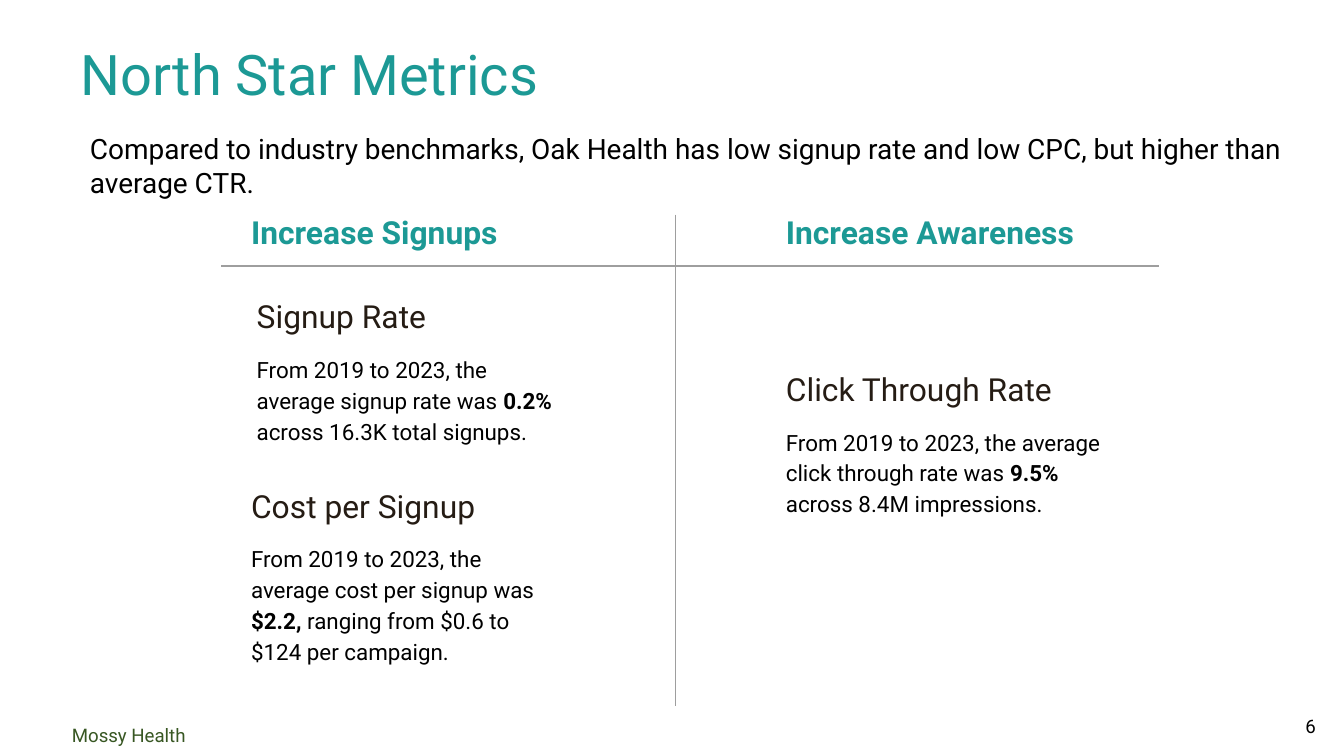
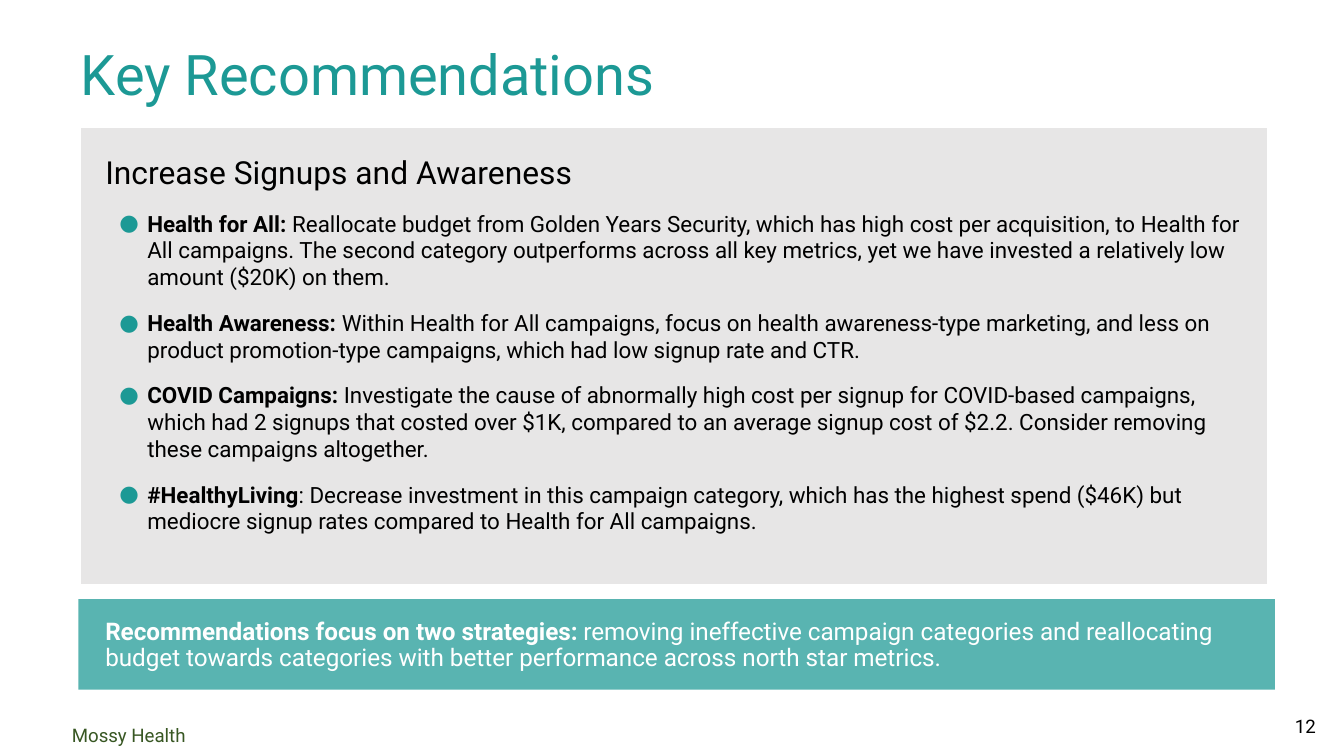
import pptx
import pptx.util
import pptx.dml.color
import pptx.enum.shapes
import pptx.enum.text
import pptx.oxml.ns
from lxml import etree

Pt = pptx.util.Pt
RGB = pptx.dml.color.RGBColor
Align = pptx.enum.text.PP_ALIGN
Anchor = pptx.enum.text.MSO_ANCHOR
qn = pptx.oxml.ns.qn

FONT = "Roboto"
TEAL = RGB(0x1C, 0x99, 0x95)
BLACK = RGB(0, 0, 0)
BROWN = RGB(0x25, 0x1C, 0x14)
GREEN = RGB(0x38, 0x57, 0x23)
GRAY = RGB(0x9E, 0x9E, 0x9E)
PALE = RGB(0xE7, 0xE6, 0xE6)
WHITE = RGB(0xFF, 0xFF, 0xFF)

BRAND = "Mossy Health"
PAD = (7.2, 7.2, 7.2, 7.2)
BARE = (0, 0, 0, 0)

ADVICE = [
    "**Health for All:** Reallocate budget from Golden Years Security, which has high "
    "cost per acquisition, to Health for All campaigns. The second category outperforms "
    "across all key metrics, yet we have invested a relatively low amount ($20K) on them.",
    "**Health Awareness: **Within Health for All campaigns, focus on health "
    "awareness-type marketing, and less on product promotion-type campaigns, which had "
    "low signup rate and CTR.",
    "**COVID Campaigns:** Investigate the cause of abnormally high cost per signup for "
    "COVID-based campaigns, which had 2 signups that costed over $1K, compared to an "
    "average signup cost of $2.2. Consider removing these campaigns altogether.",
    "**#HealthyLiving**: Decrease investment in this campaign category, which has the "
    "highest spend ($46K) but mediocre signup rates compared to Health for All campaigns.",
]


# Text helpers
def assign(item, values):
    for name, value in values.items():
        setattr(item, name, value)


def write(par, text, size, color, **form):
    """Fill a paragraph; text between ** marks is bold."""
    base = {"alignment": Align.LEFT, "line_spacing": 1.0,
            "space_before": Pt(0), "space_after": Pt(0)}
    assign(par, {**base, **form})
    for i, part in enumerate(text.split("**")):
        if part:
            run = par.add_run()
            run.text = part
            assign(run.font, {"name": FONT, "size": Pt(size), "bold": i % 2 == 1})
            run.font.color.rgb = color


def bullet(par, left=0, hang=0, sign=None):
    props = par._p.get_or_add_pPr()
    props.set("marL", str(Pt(left)))
    props.set("indent", str(Pt(-hang)))
    if sign is None:
        etree.SubElement(props, qn("a:buNone"))
        return
    tint = etree.SubElement(props, qn("a:buClr"))
    etree.SubElement(tint, qn("a:srgbClr")).set("val", str(TEAL))
    etree.SubElement(props, qn("a:buFont")).set("typeface", FONT)
    etree.SubElement(props, qn("a:buChar")).set("char", sign)


def frame(shape, pad, anchor=Anchor.TOP):
    """Set up the text frame and return its first paragraph."""
    sides = ("margin_left", "margin_top", "margin_right", "margin_bottom")
    assign(shape.text_frame, {
        "word_wrap": True, "auto_size": pptx.enum.text.MSO_AUTO_SIZE.NONE,
        "vertical_anchor": anchor, **dict(zip(sides, map(Pt, pad)))})
    return shape.text_frame.paragraphs[0]


# Element helpers
def place(shape, *box):
    assign(shape, dict(zip(("left", "top", "width", "height"), map(Pt, box))))


def label(slide, box, text, size, color, pad=BARE, **form):
    shape = slide.shapes.add_textbox(*map(Pt, box))
    write(frame(shape, pad), text, size, color, **form)


def rule(slide, x1, y1, x2, y2):
    line = slide.shapes.add_connector(
        pptx.enum.shapes.MSO_CONNECTOR.STRAIGHT, Pt(x1), Pt(y1), Pt(x2), Pt(y2))
    line.line.color.rgb = GRAY
    line.line.width = Pt(0.75)
    etree.SubElement(line.element.spPr, qn("a:effectLst"))


def metric(slide, x, y, width, head, text):
    label(slide, (x, y, 206, 27), head, 17, BROWN)
    label(slide, (x, y + 29.5, width, 78.5), text, 12, BLACK, line_spacing=1.15)


def page(deck, title, number):
    """Add a slide with title, page number and footer; return it and its body."""
    slide = deck.slides.add_slide(deck.slide_layouts[1])
    head, body = slide.placeholders
    place(head, 36, 18, 648, 42.5)
    write(frame(head, PAD, Anchor.MIDDLE), title, 30, TEAL)
    label(slide, (684, 376, 28, 25), str(number), 10, BLACK, PAD, alignment=Align.RIGHT)
    label(slide, (31.5, 384.5, 80, 19.5), BRAND, 10, GREEN, (7.2, 3.6, 7.2, 3.6))
    return slide, body


# Slides
def metrics(deck):
    slide, body = page(deck, "North Star Metrics", 6)
    place(body, 41, 63.5, 679, 38)
    lead = frame(body, PAD)
    write(lead, "Compared to industry benchmarks, Oak Health has low signup rate and low "
          "CPC, but higher than average CTR.", 15, BLACK)
    bullet(lead)

    # Column heads and dividers
    left, right = 134.5, 421
    for x, head in ((left, "Increase Signups"), (right, "Increase Awareness")):
        label(slide, (x, 114, 206, 27), f"**{head}**", 17, TEAL)
    rule(slide, 362, 115, 362, 378)
    rule(slide, 118.5, 142.5, 621, 142.5)

    # Metrics
    metric(slide, left + 3, 159, 166, "Signup Rate",
           "From 2019 to 2023, the average signup rate was **0.2% **"
           "across 16.3K total signups.")
    metric(slide, left, 260.5, 162, "Cost per Signup",
           "From 2019 to 2023, the average cost per signup was **$2.2,** "
           "ranging from $0.6 to $124 per campaign.")
    metric(slide, right, 198, 176, "Click Through Rate",
           "From 2019 to 2023, the average click through rate was **9.5% **"
           "across 8.4M impressions.")


def advice(deck):
    slide, body = page(deck, "Key Recommendations", 12)

    # List panel
    place(body, 42, 67.5, 638, 246.5)
    body.fill.solid()
    body.fill.fore_color.rgb = PALE
    body.line.color.rgb = WHITE
    body.line.width = Pt(2.25)
    head = frame(body, (14.4,) * 4)
    write(head, "Increase Signups and Awareness", 17, BLACK)
    bullet(head)
    for text in ADVICE:
        par = body.text_frame.add_paragraph()
        write(par, text, 12, BLACK, space_before=Pt(10))
        bullet(par, 22.5, 15, "●")

    # Closing band
    band = slide.shapes.add_shape(
        pptx.enum.shapes.MSO_SHAPE.RECTANGLE, Pt(42), Pt(321), Pt(641), Pt(48.5))
    band.shadow.inherit = False
    band.fill.solid()
    band.fill.fore_color.rgb = TEAL
    tint = band.element.spPr.find(".//" + qn("a:srgbClr"))
    etree.SubElement(tint, qn("a:alpha")).set("val", "73000")
    band.line.fill.background()
    write(frame(band, (14.4, 10.8, 7.2, 14.4)),
          "**Recommendations focus on two strategies:** removing ineffective campaign "
          "categories and reallocating budget towards categories with better performance "
          "across north star metrics.", 13, WHITE, line_spacing=0.9, space_after=Pt(10))


def main():
    deck = pptx.Presentation()
    deck.slide_width, deck.slide_height = Pt(720), Pt(405)
    metrics(deck)
    advice(deck)
    deck.save("out.pptx")


if __name__ == "__main__":
    main()
